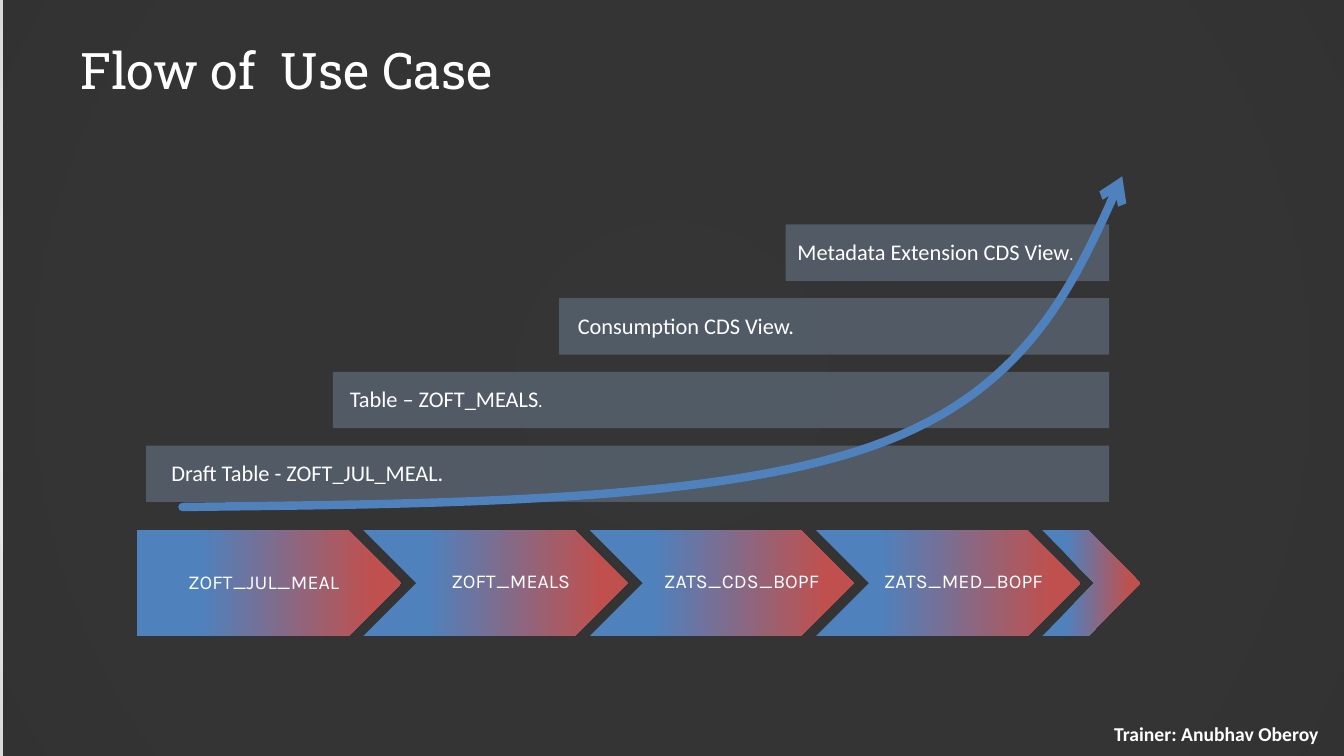
from lxml import etree
from pptx import Presentation
from pptx.dml.color import RGBColor
from pptx.enum.shapes import MSO_SHAPE
from pptx.enum.text import MSO_ANCHOR, PP_ALIGN
from pptx.oxml.ns import qn
from pptx.util import Inches, Pt

RECTANGLE = MSO_SHAPE.RECTANGLE
PENTAGON = MSO_SHAPE.PENTAGON
CHEVRON = MSO_SHAPE.CHEVRON
MIDDLE = MSO_ANCHOR.MIDDLE
TOP = MSO_ANCHOR.TOP
LEFT = PP_ALIGN.LEFT
CENTER = PP_ALIGN.CENTER

COLORS = {
    "white": "FFFFFF",
    "mist": "EEEEEE",
    "silver": "D9D9D9",
    "charcoal": "262626",
    "blue": "4F81BD",
    "red": "C0504D",
    "bar": "95B3D7",
}
FORMATS = {
    "title": {"name": "Roboto Slab", "size": Pt(36), "bold": False},
    "trainer": {"name": "Calibri", "size": Pt(14), "bold": True},
    "bar": {"name": "Calibri", "size": Pt(16)},
    "step": {"name": "Karla", "size": Pt(14)},
}
WIDE_INSETS = (0.13, 0.07)
FLAT_INSETS = (0, 0.05)

STEP_LEFT, STEP_TOP, STEP_PITCH = 10.2, 70.13, 16.84
STEP_WIDTH, STEP_HEIGHT = 19.65, 14
LAST_STEP_WIDTH = 7.28
BAR_TOP, BAR_PITCH, BAR_HEIGHT, BAR_RIGHT = 58.93, 9.75, 7.47, 82.52
BAR_LEFTS = [10.88] + [24.77 + STEP_PITCH * index for index in range(3)]
BARS = [
    (12.75, 21.75, [("Draft Table - ZOFT_JUL_MEAL.", "bar")]),
    (26.03, 21.75, [("Table – ZOFT_MEALS", "bar"), (".", "step")]),
    (42.99, 19.2, [("Consumption CDS View.", "bar")]),
    (59.34, 21, [("Metadata Extension CDS View", "bar"), (".", "step")]),
]
STEPS = [
    (12.38, 75.07, 14.48, "ZOFT_JUL_MEAL"),
    (30.76, 74.93, 14.48, "ZOFT_MEALS"),
    (47.79, 74.93, 14.78, "ZATS_CDS_BOPF"),
    (64.59, 74.93, 14.18, "ZATS_MED_BOPF"),
]
GROWTH_CURVE = [
    ((13.58, 67.07), (33.38, 66.67), (53.11, 66.4), (64.82, 59.07)),
    ((64.82, 59.07), (76.44, 51.87), (79.97, 37.6), (83.5, 23.33)),
]


def bezier_point(points, share):
    rest = 1 - share
    weights = (rest**3, 3 * rest**2 * share, 3 * rest * share**2, share**3)
    return tuple(
        sum(weight * point[axis] for weight, point in zip(weights, points))
        for axis in (0, 1)
    )


class SlideBuilder:
    def __init__(self, presentation):
        self.width = presentation.slide_width
        self.height = presentation.slide_height
        self.slide = presentation.slides.add_slide(presentation.slide_layouts[5])
        self.shapes = self.slide.shapes

    def position(self, x, y):
        return round(self.width * x / 100), round(self.height * y / 100)

    def box(self, left, top, width, height):
        return *self.position(left, top), *self.position(width, height)

    def background(self, stops):
        self.slide.background.fill.gradient()
        gradient = next(self.slide.element.iter(qn("a:gradFill")))
        for child in list(gradient):
            gradient.remove(child)
        stop_list = etree.SubElement(gradient, qn("a:gsLst"))
        for share, color in stops:
            stop = etree.SubElement(stop_list, qn("a:gs"), pos=str(share * 1000))
            etree.SubElement(stop, qn("a:srgbClr"), val=COLORS[color])
        circle = etree.SubElement(gradient, qn("a:path"), {"path": "circle"})
        sides = {side: "50000" for side in "ltrb"}
        etree.SubElement(circle, qn("a:fillToRect"), sides)

    def shape(self, kind, *box):
        shape = self.shapes.add_shape(kind, *self.box(*box))
        shape.shadow.inherit = False
        shape.line.fill.background()
        return shape

    def panel(self, color, opacity, *box):
        shape = self.shape(RECTANGLE, *box)
        shape.fill.solid()
        shape.fill.fore_color.rgb = RGBColor.from_string(COLORS[color])
        tint = next(shape.element.spPr.iter(qn("a:srgbClr")))
        etree.SubElement(tint, qn("a:alpha"), val=str(opacity * 1000))

    def step(self, kind, adjustment, *box):
        shape = self.shape(kind, *box)
        shape.adjustments[0] = adjustment
        shape.fill.gradient()
        shape.fill.gradient_angle = 0
        stops = ((0.24, "blue"), (0.9, "red"))
        for stop, (share, color) in zip(shape.fill.gradient_stops, stops):
            stop.position = share
            stop.color.rgb = RGBColor.from_string(COLORS[color])

    def curve(self, segments, color, width):
        points = [
            self.position(*bezier_point(segment, index / 30))
            for segment in segments
            for index in range(1, 31)
        ]
        builder = self.shapes.build_freeform(*self.position(*segments[0][0]))
        builder.add_line_segments(points, close=False)
        shape = builder.convert_to_shape()
        shape.shadow.inherit = False
        shape.fill.background()
        shape.line.color.rgb = RGBColor.from_string(COLORS[color])
        shape.line.width = Pt(width)
        line = shape.element.spPr.find(qn("a:ln"))
        line.set("cap", "rnd")
        etree.SubElement(line, qn("a:round"))
        etree.SubElement(line, qn("a:tailEnd"), type="arrow")

    def fill_text(self, shape, runs, insets, anchor, alignment, spacing):
        frame = shape.text_frame
        horizontal, vertical = (Inches(inset) for inset in insets)
        settings = {
            "word_wrap": True,
            "vertical_anchor": anchor,
            "margin_left": horizontal,
            "margin_right": horizontal,
            "margin_top": vertical,
            "margin_bottom": vertical,
        }
        for name, value in settings.items():
            setattr(frame, name, value)
        paragraph = frame.paragraphs[0]
        paragraph.alignment = alignment
        paragraph.line_spacing = spacing
        for text, style in runs:
            run = paragraph.add_run()
            run.text = text
            for name, value in FORMATS[style].items():
                setattr(run.font, name, value)
            run.font.color.rgb = RGBColor.from_string(COLORS["white"])

    def title(self, text, *box):
        shape = self.shapes.title
        shape.left, shape.top, shape.width, shape.height = self.box(*box)
        self.fill_text(shape, [(text, "title")], WIDE_INSETS, MIDDLE, LEFT, 1.0)

    def text(self, runs, box, insets=FLAT_INSETS, anchor=MIDDLE, alignment=LEFT,
             spacing=0.9):
        shape = self.shapes.add_textbox(*self.box(*box))
        self.fill_text(shape, runs, insets, anchor, alignment, spacing)


def main():
    presentation = Presentation()
    presentation.slide_width = Inches(13.33)
    presentation.slide_height = Inches(7.5)
    builder = SlideBuilder(presentation)
    builder.background([(0, "white"), (81, "mist"), (100, "silver")])
    builder.panel("charcoal", 93, 0.23, 0, 99.77, 100)
    title = builder.shapes.title.element
    title.getparent().append(title)
    builder.title("Flow of  Use Case", 5, 4, 90, 10.4)
    builder.text([("Trainer: Anubhav Oberoy", "trainer")], (81.32, 94.4, 18.38, 5.2),
                 WIDE_INSETS, alignment=CENTER, spacing=1.0)

    for index in range(len(STEPS)):
        builder.step(CHEVRON if index else PENTAGON, 0.5,
                     STEP_LEFT + STEP_PITCH * index, STEP_TOP, STEP_WIDTH, STEP_HEIGHT)
    builder.step(CHEVRON, 0.53, STEP_LEFT + STEP_PITCH * len(STEPS), STEP_TOP,
                 LAST_STEP_WIDTH, STEP_HEIGHT)
    for index, left in enumerate(BAR_LEFTS):
        builder.panel("bar", 30, left, BAR_TOP - BAR_PITCH * index,
                      BAR_RIGHT - left, BAR_HEIGHT)
    builder.curve(GROWTH_CURVE, "blue", 6)
    for index, (left, width, runs) in enumerate(BARS):
        builder.text(runs, (left, BAR_TOP - BAR_PITCH * index + 1.53, width, 4.53))
    for left, top, width, label in STEPS:
        builder.text([(label, "step")], (left, top, width, 4.13),
                     anchor=TOP, alignment=CENTER)
    presentation.save("out.pptx")


if __name__ == "__main__":
    main()
